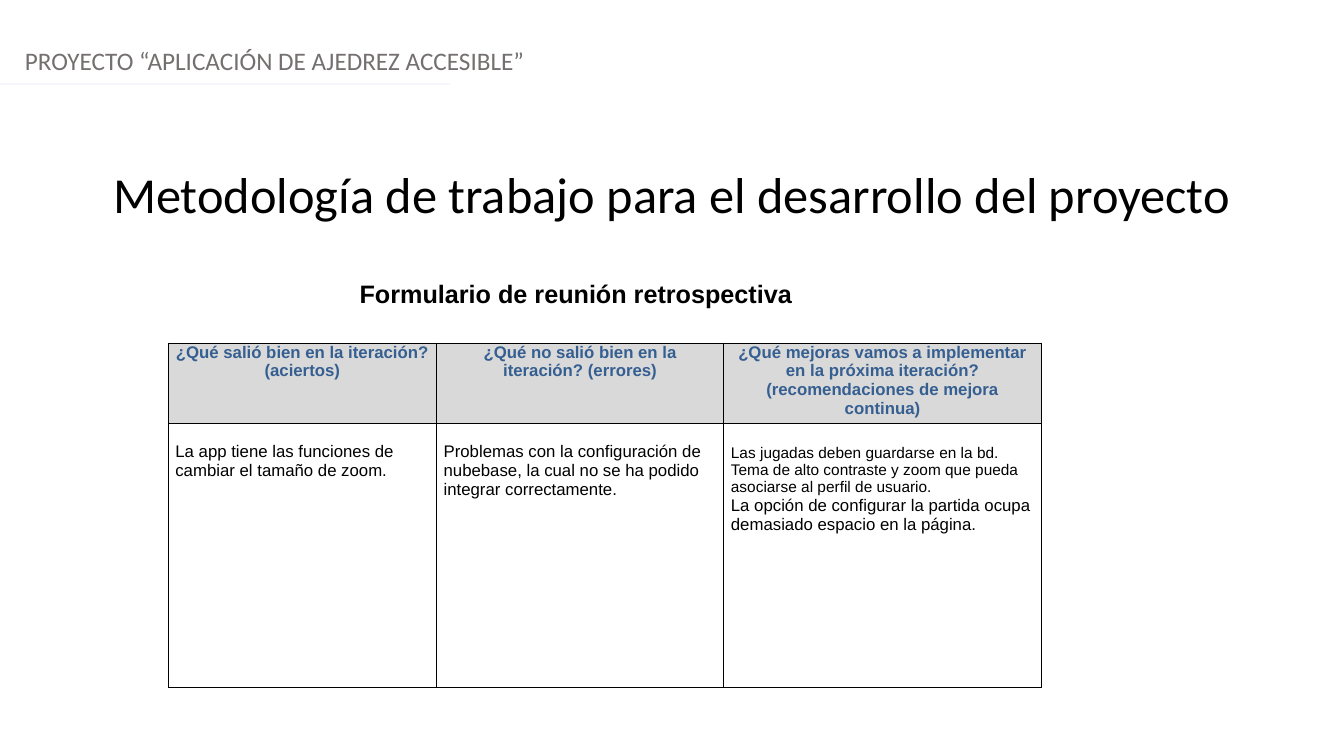
from dataclasses import dataclass

from lxml import etree
from pptx import Presentation
from pptx import util as u
from pptx.dml.color import RGBColor
from pptx.enum import shapes, text
from pptx.oxml.ns import qn


@dataclass(frozen=True)
class Theme:
    ink: str = "000000"
    gray: str = "757070"
    blue: str = "365F91"
    shade: str = "D9D9D9"
    rule: str = "F5F7FC"
    sans: str = "Calibri"
    form: str = "Arial"
    title: int = 36
    head: int = 18
    cell: int = 12
    small: int = 11


THEME = Theme()
LEFT, MID = text.PP_ALIGN.LEFT, text.PP_ALIGN.CENTER
WIDTH = 33.87

# Each column: heading, then its answers as (text, size, line spacing)
COLUMNS = [
    (6.76, "¿Qué salió bien en la iteración? (aciertos)",
     [("La app tiene las funciones de cambiar el tamaño de zoom.", THEME.cell, 1.0)]),
    (7.24, "¿Qué no salió bien en la iteración? (errores)",
     [("Problemas con la configuración de nubebase, la cual no se ha podido "
       "integrar correctamente.", THEME.cell, 1.0)]),
    (8.0, "¿Qué mejoras vamos a implementar en la próxima iteración? "
     "(recomendaciones de mejora continua)",
     [("Las jugadas deben guardarse en la bd.", THEME.small, 1.15),
      ("Tema de alto contraste y zoom que pueda asociarse al perfil de usuario.",
       THEME.small, 1.0),
      ("La opción de configurar la partida ocupa demasiado espacio en la página.",
       THEME.cell, 1.0)]),
]


def style(par, face, size, color, bold=False, align=LEFT):
    par.alignment = align
    for run in par.runs:
        run.font.name = face
        run.font.size = u.Pt(size)
        run.font.bold = bold
        run.font.color.rgb = RGBColor.from_string(color)


def label(slide, box, words, face, size, color, bold=False, align=LEFT,
          anchor=text.MSO_ANCHOR.TOP):
    frame = slide.shapes.add_textbox(*map(u.Cm, box)).text_frame
    frame.word_wrap = True
    frame.vertical_anchor = anchor
    frame.text = words
    style(frame.paragraphs[0], face, size, color, bold, align)


def banner(slide, box):
    """Project name with a pale rule under it."""
    x, y, w, h = box
    label(slide, (x + 0.38, y, w, h), "PROYECTO “APLICACIÓN DE AJEDREZ ACCESIBLE”",
          THEME.sans, THEME.head, THEME.gray)
    base = u.Cm(y + 1.09)
    line = slide.shapes.add_connector(
        shapes.MSO_CONNECTOR.STRAIGHT, u.Cm(x), base, u.Cm(x + 11.35), base)
    line.line.color.rgb = RGBColor.from_string(THEME.rule)
    line.line.width = u.Pt(1.25)
    etree.SubElement(line._element.spPr, qn("a:effectLst"))


def edge(cell):
    """Thin dark border on all four sides, placed before the cell fill."""
    props = cell._tc.get_or_add_tcPr()
    for spot, side in enumerate(("lnL", "lnR", "lnT", "lnB")):
        line = etree.Element(qn("a:" + side), w=str(u.Pt(0.5)))
        fill = etree.SubElement(line, qn("a:solidFill"))
        etree.SubElement(fill, qn("a:srgbClr"), val=THEME.ink)
        props.insert(spot, line)


def pad(cell, top):
    cell.margin_left = cell.margin_right = u.Cm(0.18)
    cell.margin_top, cell.margin_bottom = u.Cm(top), 0


def form(slide, box):
    """Table of retrospective questions and answers."""
    x, y, w, h = box
    grid = slide.shapes.add_table(2, len(COLUMNS), *map(u.Cm, box)).table
    grid.first_row = grid.horz_banding = False
    top = 2.02
    grid.rows[0].height, grid.rows[1].height = u.Cm(top), u.Cm(h - top)
    for col, (wide, ask, notes) in enumerate(COLUMNS):
        grid.columns[col].width = u.Cm(wide)
        head, body = grid.cell(0, col), grid.cell(1, col)

        # Question
        head.text_frame.text = ask
        head.fill.solid()
        head.fill.fore_color.rgb = RGBColor.from_string(THEME.shade)
        pad(head, 0)
        style(head.text_frame.paragraphs[0], THEME.form, THEME.cell,
              THEME.blue, True, MID)

        # Answers
        body.text_frame.text = "\n".join(note[0] for note in notes)
        body.fill.background()
        pad(body, 0.47)
        for par, (_, size, space) in zip(body.text_frame.paragraphs, notes):
            par.line_spacing = space
            style(par, THEME.form, size, THEME.ink)
        edge(head)
        edge(body)


def main():
    deck = Presentation()
    deck.slide_width, deck.slide_height = u.Cm(WIDTH), u.Cm(19.05)
    slide = deck.slides.add_slide(deck.slide_layouts[6])
    banner(slide, (0, 1.02, WIDTH, 1.02))
    label(slide, (0, 3.99, WIDTH, 1.8),
          "Metodología de trabajo para el desarrollo del proyecto",
          THEME.sans, THEME.title, THEME.ink, align=MID)
    form(slide, (4.24, 8.64, sum(col[0] for col in COLUMNS), 8.66))
    label(slide, (6.35, 6.15, 16.33, 2.49), "Formulario de reunión retrospectiva",
          THEME.form, THEME.head, THEME.ink, True, MID, text.MSO_ANCHOR.MIDDLE)
    deck.save("out.pptx")


if __name__ == "__main__":
    main()
